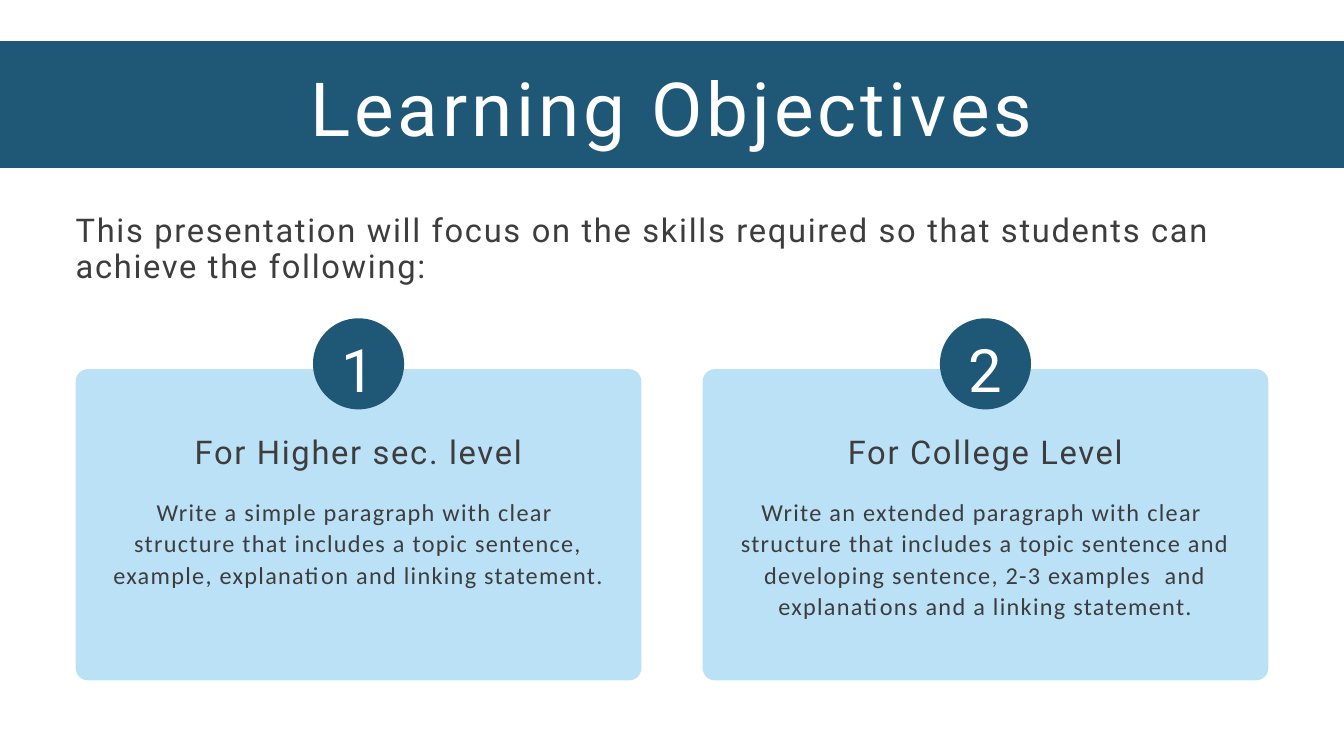
import pptx
import pptx.util
import pptx.dml.color
import pptx.enum.shapes
import pptx.enum.text

Pt = pptx.util.Pt
Kind = pptx.enum.shapes.MSO_SHAPE
Align = pptx.enum.text.PP_ALIGN

theme = {
    "navy": "1F5776",
    "sky": "BBE1F6",
    "title": {"size": 80, "name": "Roboto", "color": "FFFFFF", "gap": 4.2, "line": 96},
    "badge": {"size": 64, "name": "Roboto", "color": "FFFFFF", "gap": 3.3, "line": 100.5},
    "head": {"size": 35, "name": "Roboto", "color": "3D3D3D", "gap": 1.8, "line": 38.5},
    "body": {"size": 26, "name": "Calibri", "color": "3D3D3D", "gap": 1.4, "line": 33.8},
}

deck = pptx.Presentation()
deck.slide_width, deck.slide_height = Pt(1440), Pt(810)
slide = deck.slides.add_slide(deck.slide_layouts[6])


def add_block(kind, box, color):
    shape = slide.shapes.add_shape(kind, *map(Pt, box))
    shape.shadow.inherit = False
    shape.fill.solid()
    shape.fill.fore_color.rgb = pptx.dml.color.RGBColor.from_string(theme[color])
    shape.line.fill.background()
    return shape


def add_text(text, box, style, align=Align.CENTER):
    look = theme[style]
    frame = slide.shapes.add_textbox(*map(Pt, box)).text_frame
    form = {"word_wrap": True, "margin_left": 0, "margin_top": 0,
            "margin_right": 0, "margin_bottom": 0}
    for key, value in form.items():
        setattr(frame, key, value)
    para = frame.paragraphs[0]
    para.alignment = align
    para.line_spacing = Pt(look["line"])
    run = para.add_run()
    run.text = text
    for key, value in {"size": Pt(look["size"]), "name": look["name"]}.items():
        setattr(run.font, key, value)
    run.font.color.rgb = pptx.dml.color.RGBColor.from_string(look["color"])
    run._r.get_or_add_rPr().set("spc", str(round(look["gap"] * 100)))


left, wide = 81, 1278
add_block(Kind.RECTANGLE, (-36, 44, 1512, 136), "navy")
add_text("Learning Objectives", (left, 66.25, wide, 97), "title")
add_text("This presentation will focus on the skills required so that students can "
         "achieve the following:", (left, 228.25, wide, 78), "head", Align.LEFT)

goals = [
    ("For Higher sec. level",
     "Write a simple paragraph with clear  structure that includes a topic sentence, "
     "example, explanation and linking statement."),
    ("For College Level",
     "Write an extended paragraph with clear  structure that includes a topic sentence "
     "and developing sentence, 2-3 examples  and explanations and a linking statement."),
]
card, text, disc = 606.25, 530.5, 97.6
for index, (head, body) in enumerate(goals):
    start = left + index * (wide - card)
    mid = start + card / 2
    panel = add_block(Kind.ROUNDED_RECTANGLE, (start, 395.5, card, 333.5), "sky")
    panel.adjustments[0] = 0.04
    add_block(Kind.OVAL, (mid - disc / 2, 341, disc, disc), "navy")
    add_text(str(index + 1), (mid - disc / 2, 332.75, disc, 95), "badge")
    add_text(head, (mid - text / 2, 466.5, text, 39.5), "head")
    add_text(body, (mid - text / 2, 530, text, 168), "body")

deck.save("out.pptx")
